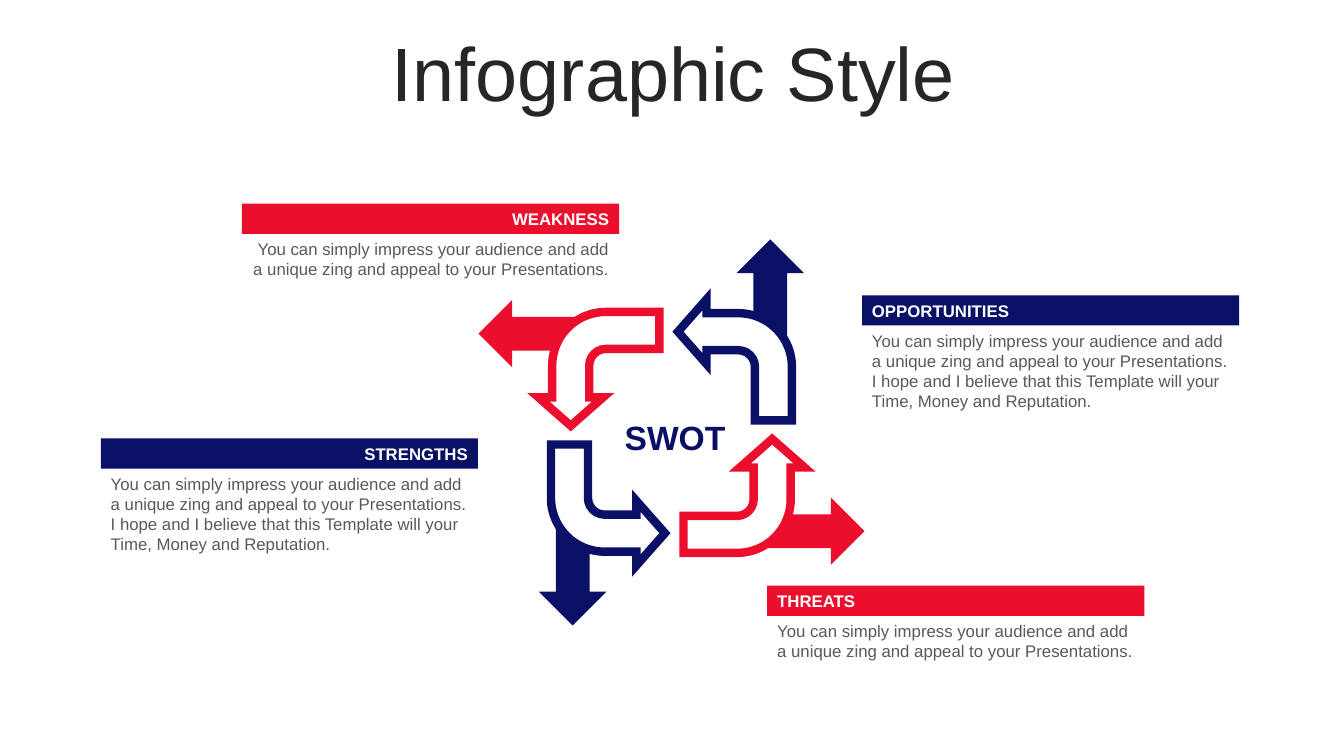
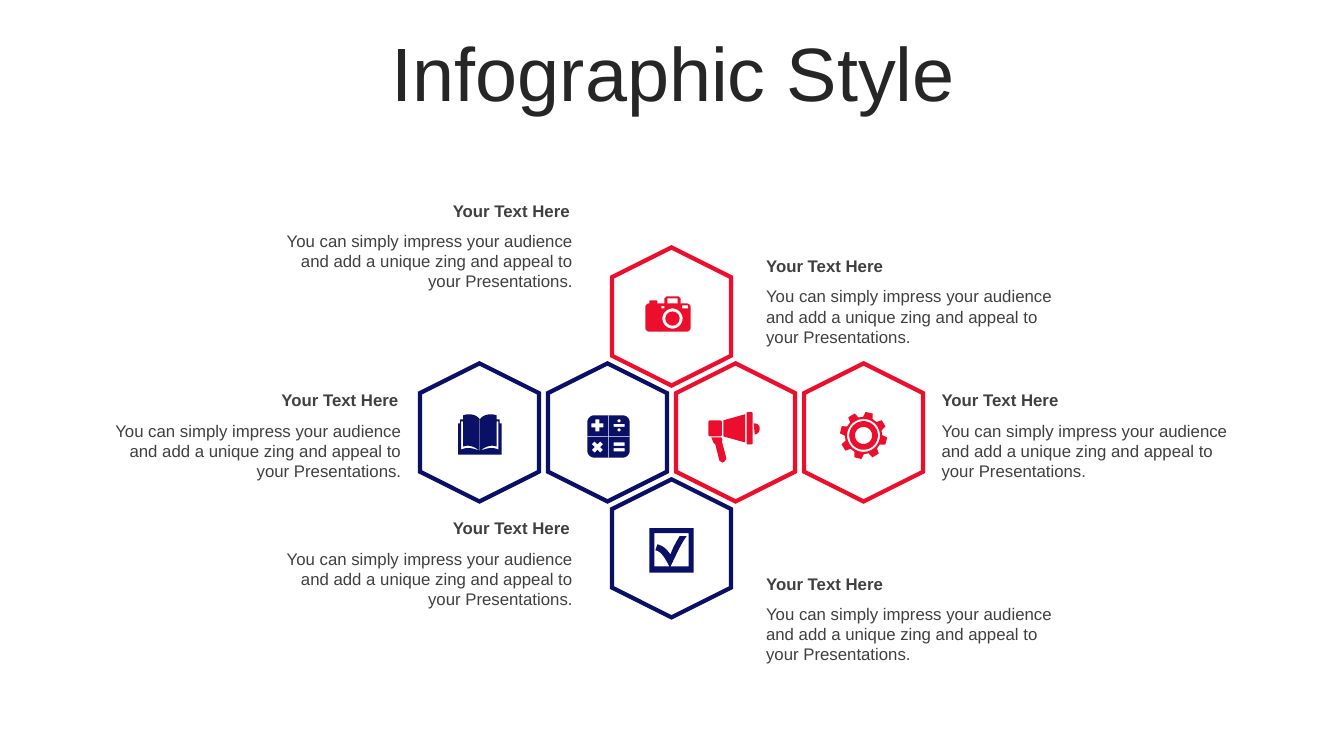
from dataclasses import dataclass
from math import cos, radians, sin

from lxml import etree
from pptx import Presentation
from pptx.dml.color import RGBColor
from pptx.enum.shapes import MSO_SHAPE
from pptx.enum.text import MSO_ANCHOR, PP_ALIGN
from pptx.oxml.ns import qn
from pptx.util import Inches, Pt

RECT, HEXAGON = MSO_SHAPE.RECTANGLE, MSO_SHAPE.HEXAGON
ARROW, BENT_ARROW = MSO_SHAPE.RIGHT_ARROW, MSO_SHAPE.BENT_ARROW
LEFT, CENTER, RIGHT = PP_ALIGN.LEFT, PP_ALIGN.CENTER, PP_ALIGN.RIGHT
MIDDLE, TOP = MSO_ANCHOR.MIDDLE, MSO_ANCHOR.TOP


@dataclass(frozen=True)
class Theme:
    font: str = "Arial"
    navy: str = "091066"
    red: str = "EC0F2D"
    white: str = "FFFFFF"
    title: str = "262626"
    dark: str = "404040"
    grey: str = "595959"
    title_size: int = 54
    hub_size: int = 24
    text_size: int = 12


T = Theme()
IMPRESS = ("You can simply impress your audience and add a unique zing "
           "and appeal to your Presentations.")
HOPE = ("I hope and I believe that this Template will your Time, "
        "Money and Reputation.")


# Shared building blocks
def write(tf, lines, size, color, align=LEFT, bold=False, anchor=TOP):
    tf.word_wrap = True
    tf.vertical_anchor = anchor
    for i, line in enumerate(lines):
        p = tf.paragraphs[0] if i == 0 else tf.add_paragraph()
        p.alignment = align
        r = p.add_run()
        r.text = line
        r.font.name, r.font.size, r.font.bold = T.font, Pt(size), bold
        r.font.color.rgb = RGBColor.from_string(color)


def add_text(s, x, y, w, h, lines, size, color, **style):
    box = s.shapes.add_textbox(Inches(x), Inches(y), Inches(w), Inches(h))
    write(box.text_frame, lines, size, color, **style)


def paint(sp, fill, line=None, width=0):
    sp.shadow.inherit = False
    sp.fill.solid()
    sp.fill.fore_color.rgb = RGBColor.from_string(fill)
    if line is None:
        sp.line.fill.background()
        return
    sp.line.color.rgb = RGBColor.from_string(line)
    sp.line.width = Pt(width)
    miter = etree.SubElement(sp.line._get_or_add_ln(), qn("a:miter"))
    miter.set("lim", "800000")


def add_centered(s, kind, cx, cy, w, h, rotation, fill, line=None, width=0):
    sp = s.shapes.add_shape(kind, Inches(cx - w / 2), Inches(cy - h / 2),
                            Inches(w), Inches(h))
    sp.rotation = rotation
    paint(sp, fill, line, width)
    return sp


def add_slide(prs, title):
    s = prs.slides.add_slide(prs.slide_layouts[5])
    sp = s.shapes.title
    sp.left, sp.top = Inches(0.35), Inches(0.37)
    sp.width, sp.height = Inches(12.66), Inches(0.79)
    write(sp.text_frame, [title], T.title_size, T.title,
          align=CENTER, anchor=MIDDLE)
    sp.text_frame.paragraphs[0].line_spacing = 0.9
    return s


# Outlines for icons, in hundredths of an inch
def box(x, y, w, h):
    return [(x, y), (x + w, y), (x + w, y + h), (x, y + h)]


def arc(cx, cy, r, start, end, steps=8):
    angles = [radians(start + (end - start) * i / steps)
              for i in range(steps + 1)]
    return [(cx + r * cos(a), cy + r * sin(a)) for a in angles]


def circle(cx, cy, r):
    return arc(cx, cy, r, 0, 360, 48)[:-1]


def round_box(x, y, w, h, r):
    return (arc(x + r, y + r, r, 180, 270)
            + arc(x + w - r, y + r, r, 270, 360)
            + arc(x + w - r, y + h - r, r, 0, 90)
            + arc(x + r, y + h - r, r, 90, 180))


def curve(*controls):
    """Points along a cubic Bezier curve."""
    points = []
    for i in range(13):
        t = i / 12
        weights = ((1 - t) ** 3, 3 * t * (1 - t) ** 2,
                   3 * t * t * (1 - t), t ** 3)
        points.append(tuple(sum(k * c[axis] for k, c in zip(weights, controls))
                            for axis in (0, 1)))
    return points


def plus(cx, cy, arm, half, angle=0):
    points = []
    for turn in range(4):
        a = radians(angle + 90 * turn)
        for x, y in ((arm, -half), (arm, half), (half, half)):
            points.append((cx + x * cos(a) - y * sin(a),
                           cy + x * sin(a) + y * cos(a)))
    return points


def mirror(points, width):
    return [(width - x, y) for x, y in points]


def book():
    w = 43
    half = ([(0, 40), (0, 9), (2, 9), (2, 5), (5, 5)]
            + curve((5, 1), (11, -1), (18, 0), (21.5, 5)))
    gap = ([(3, 7), (5, 7)]
           + curve((5, 32), (10, 30), (16, 32), (21, 36))
           + curve((21, 36), (15, 34), (10, 32), (3, 35)))
    return [half + mirror(half, w)[::-1], gap, mirror(gap, w),
            box(21.2, 5, 0.6, 31)]


def calculator():
    return [round_box(0, 0, 42, 42, 7), box(20.4, 0, 0.7, 42),
            box(0, 20.4, 20.4, 0.7), box(21.1, 20.4, 20.9, 0.7),
            plus(10, 10, 6, 2), plus(10, 31.5, 6, 2, 45),
            box(26, 8.5, 11, 3), circle(31.5, 5.5, 1.6),
            circle(31.5, 14.5, 1.6), box(26, 27, 11, 3.3),
            box(26, 32.5, 11, 3.3)]


def checkbox():
    tick = (curve((20, 38), (17, 33), (13, 23), (6, 22))
            + curve((8, 16), (15, 18), (17, 21), (21, 26))
            + curve((21, 26), (24, 18), (26, 15), (30, 8))
            + curve((37, 8), (31, 16), (26, 28), (21, 38)))
    return [box(0, 0, 44, 44), box(5, 5, 34, 33), tick]


def megaphone():
    handle = [(3, 25), (13, 25), (14, 27), (13.5, 29), (18, 46), (16, 49),
              (14, 50), (11, 48), (7, 32), (5, 30)]
    knob = (curve((45, 11), (49, 11), (51, 13), (51, 16))
            + curve((51, 16), (51, 19), (49, 22), (46, 22)))
    return [handle, knob, round_box(0, 8, 13.5, 16, 2),
            [(36.5, 2), (36.5, 30), (15, 24), (15, 8)],
            round_box(38, 0, 6, 32, 1)]


def camera():
    return [round_box(0, 7, 45, 28, 4), round_box(4, 4, 8, 3, 1),
            [(19, 7), (19, 2), (21, 0), (33, 0), (35, 2), (35, 7)],
            box(22, 2, 10, 5), circle(27, 22, 10), circle(27, 22, 7),
            box(16, 9.5, 3, 2.5), box(36.5, 9, 6, 3)]


def gear():
    teeth = []
    for k in range(8):
        middle = 45 * k - 76
        for r, offset in ((18.5, -15), (23.5, -9), (23.5, 9), (18.5, 15)):
            a = radians(middle + offset)
            teeth.append((r * cos(a), r * sin(a)))
    return [teeth, circle(0, 0, 16.3), circle(0, 0, 14.2), circle(0, 0, 8.5)]


def add_icon(s, x, y, outlines, color):
    placed = [[(Inches(x + px / 100), Inches(y + py / 100))
               for px, py in outline] for outline in outlines]
    fb = s.shapes.build_freeform(*placed[0][0], scale=1.0)
    for i, outline in enumerate(placed):
        if i:
            fb.move_to(*outline[0])
        fb.add_line_segments(outline[1:], close=True)
    paint(fb.convert_to_shape(), color)


# SWOT slide
def add_cycle(s, cx, cy):
    """Four arrow pairs, each a quarter turn from the one before."""
    bent, straight = (0.63, -0.72), (0.98, -1.38)
    for turn in range(4):
        color = T.red if turn % 2 else T.navy
        add_centered(s, ARROW, cx + straight[0], cy + straight[1], 1.07, 0.67,
                     (270 - 90 * turn) % 360, color)
        sp = add_centered(s, BENT_ARROW, cx + bent[0], cy + bent[1], 1.13, 1.2,
                          -90 * turn % 360, T.white, color, 6)
        sp.element.spPr.xfrm.set("flipH", "1")
        for i, value in enumerate((0.325, 0.284, 0.25, 0.471)):
            sp.adjustments[i] = value
        bent, straight = [(y, -x) for x, y in (bent, straight)]
    add_text(s, cx - 0.72, cy - 0.2, 1.51, 0.5, ["SWOT"], T.hub_size, T.navy,
             align=CENTER, bold=True)


def add_panel(s, x, y, heading, color, lines, head_align, body_align):
    w, bar = 3.74, 0.3
    sp = s.shapes.add_shape(RECT, Inches(x), Inches(y), Inches(w), Inches(bar))
    paint(sp, color)
    write(sp.text_frame, [heading], T.text_size, T.white, align=head_align,
          bold=True, anchor=MIDDLE)
    add_text(s, x, y + bar, w, 0.1 + 0.4 * len(lines), lines,
             T.text_size, T.grey, align=body_align)


def build_swot(prs):
    s = add_slide(prs, "Infographic Style")
    add_cycle(s, 6.66, 4.29)
    for panel in (
        (1, 4.35, "STRENGTHS", T.navy, [IMPRESS, HOPE], RIGHT, LEFT),
        (7.61, 5.81, "THREATS", T.red, [IMPRESS], LEFT, LEFT),
        (8.55, 2.93, "OPPORTUNITIES", T.navy, [IMPRESS, HOPE], LEFT, LEFT),
        (2.4, 2.02, "WEAKNESS", T.red, [IMPRESS], RIGHT, RIGHT),
    ):
        add_panel(s, *panel)


# Hexagon slide
def add_caption(s, x, y, align):
    add_text(s, x, y, 3.07, 0.3, ["Your Text Here"], T.text_size, T.dark,
             align=align, bold=True)
    add_text(s, x, y + 0.3, 3.1, 0.71, [IMPRESS], T.text_size, T.dark,
             align=align)


def add_honeycomb(s, cx, cy):
    half_step, row_step = 0.635, 1.15
    # Column in half steps, row, colour, icon, icon offset from the centre
    for col, row, color, icon, dx, dy in (
        (3, 0, T.red, gear, 0, 0.03),
        (-3, 0, T.navy, book, -0.21, -0.18),
        (-1, 0, T.navy, calculator, -0.2, -0.17),
        (0, -1, T.red, camera, -0.26, -0.2),
        (1, 0, T.red, megaphone, -0.27, -0.2),
        (0, 1, T.navy, checkbox, -0.22, -0.2),
    ):
        x, y = cx + col * half_step, cy + row * row_step
        add_centered(s, HEXAGON, x, y, 1.37, 1.18, 90, T.white, color, 3)
        add_icon(s, x + dx, y + dy, icon(), color)


def build_hexagons(prs):
    s = add_slide(prs, "Infographic Style")
    for x, y, align in ((2.68, 1.94, RIGHT), (0.98, 3.82, RIGHT),
                        (2.68, 5.09, RIGHT), (7.5, 2.49, LEFT),
                        (9.24, 3.82, LEFT), (7.5, 5.64, LEFT)):
        add_caption(s, x, y, align)
    add_honeycomb(s, 6.66, 4.29)


def main():
    prs = Presentation()
    prs.slide_width, prs.slide_height = Inches(13.33), Inches(7.5)
    build_swot(prs)
    build_hexagons(prs)
    prs.save("out.pptx")


if __name__ == "__main__":
    main()
